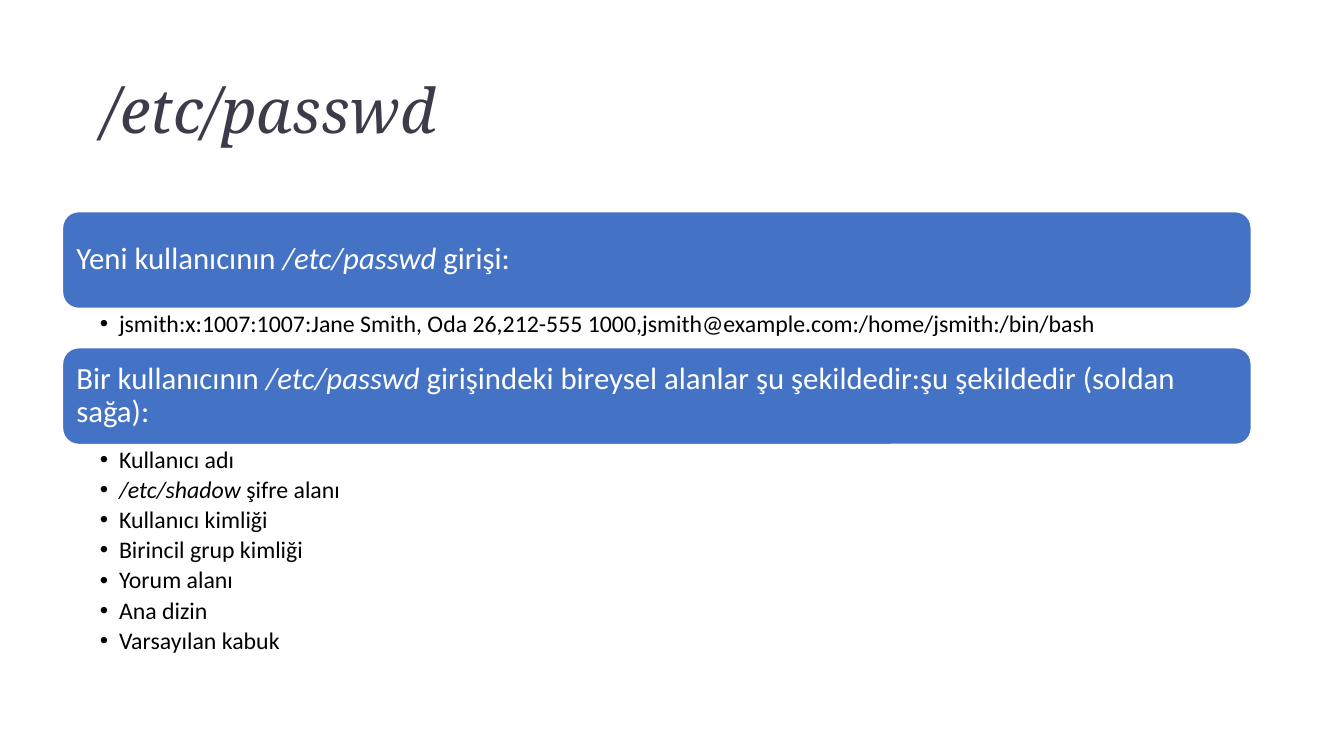
from pptx import Presentation
from pptx.dml.color import RGBColor
from pptx.enum.shapes import MSO_SHAPE
from pptx.enum.text import MSO_ANCHOR, MSO_AUTO_SIZE, PP_ALIGN
from pptx.oxml.ns import qn
from pptx.util import Inches, Pt
from lxml.etree import SubElement

# Content: a paragraph is a list of (text, italic) spans
TITLE = [("/etc/passwd", True)]
SECTIONS = [
    {
        "heading": [("Yeni kullanıcının ", False), ("/etc/passwd", True), (" girişi:", False)],
        "items": [
            [("jsmith:x:1007:1007:Jane Smith, Oda 26,212-555 1000,"
              "jsmith@example.com:/home/jsmith:/bin/bash", False)],
        ],
        "list_height": 0.39,
    },
    {
        "heading": [
            ("Bir kullanıcının ", False),
            ("/etc/passwd", True),
            (" girişindeki bireysel alanlar şu şekildedir:şu şekildedir (soldan sağa):", False),
        ],
        "items": [
            [("Kullanıcı adı", False)],
            [("/etc/shadow", True), (" şifre alanı", False)],
            [("Kullanıcı kimliği", False)],
            [("Birincil grup kimliği", False)],
            [("Yorum alanı", False)],
            [("Ana dizin", False)],
            [("Varsayılan kabuk", False)],
        ],
        "list_height": 2.24,
    },
]

# Formats
TITLE_STYLE = {"name": "Noto Serif", "size": Pt(44), "color": "3D3B49"}
HEADING_STYLE = {"name": "Calibri", "size": Pt(22), "color": "FFFFFF"}
ITEM_STYLE = {"name": "Calibri", "size": Pt(17), "color": "000000"}
PARAGRAPH_FORMAT = {"alignment": PP_ALIGN.LEFT, "line_spacing": 0.9, "space_before": Pt(0)}

# Stack of sections, in inches
LEFT, TOP, WIDTH, BAR_HEIGHT = 0.62, 2.1, 11.79, 0.96
BULLET_INDENT = Inches(0.19)


def color(hex_string):
    return RGBColor.from_string(hex_string)


def set_all(target, values):
    for name, value in values.items():
        setattr(target, name, value)


def place(shape, left, top, width, height):
    set_all(shape, {"left": Inches(left), "top": Inches(top),
                    "width": Inches(width), "height": Inches(height)})


def format_frame(frame, anchor, insets):
    sides = ("margin_left", "margin_top", "margin_right", "margin_bottom")
    set_all(frame, {"word_wrap": True, "auto_size": MSO_AUTO_SIZE.NONE, "vertical_anchor": anchor})
    set_all(frame, {side: Inches(inset) for side, inset in zip(sides, insets)})


def add_bullet(para):
    properties = para._p.get_or_add_pPr()
    properties.set("marL", str(BULLET_INDENT))
    properties.set("indent", str(-BULLET_INDENT))
    SubElement(properties, qn("a:buFont")).set("typeface", "Arial")
    SubElement(properties, qn("a:buChar")).set("char", "•")


def write(frame, paragraphs, style, bulleted=False, space_after=0):
    for index, spans in enumerate(paragraphs):
        para = frame.paragraphs[0] if index == 0 else frame.add_paragraph()
        if bulleted:
            add_bullet(para)
        set_all(para, PARAGRAPH_FORMAT)
        para.space_after = Pt(space_after)
        for text, italic in spans:
            span = para.add_run()
            span.text = text
            set_all(span.font, {"name": style["name"], "size": style["size"], "italic": italic})
            span.font.color.rgb = color(style["color"])


def add_bar(page, top, heading):
    bar = page.shapes.add_shape(MSO_SHAPE.ROUNDED_RECTANGLE, 0, 0, 0, 0)
    place(bar, LEFT, top, WIDTH, BAR_HEIGHT)
    bar.shadow.inherit = False
    bar.fill.solid()
    bar.fill.fore_color.rgb = color("4472C4")
    bar.line.color.rgb = color("FFFFFF")
    bar.line.width = Pt(1)
    # The rounded corners add about 0.05 inch to the text inset
    format_frame(bar.text_frame, MSO_ANCHOR.MIDDLE, (0.09, 0.09, 0.09, 0.09))
    write(bar.text_frame, [heading], HEADING_STYLE)


def main():
    deck = Presentation()
    deck.slide_width, deck.slide_height = Inches(13.33), Inches(7.5)
    page = deck.slides.add_slide(deck.slide_layouts.get_by_name("Two Content"))

    # Title
    title = page.shapes.title
    place(title, 0.92, 0.4, 11.5, 1.45)
    format_frame(title.text_frame, MSO_ANCHOR.MIDDLE, (0.1, 0.05, 0.1, 0.05))
    write(title.text_frame, [TITLE], TITLE_STYLE)

    # Heading bars, each with its list below
    top = TOP
    for number, section in enumerate(SECTIONS, start=1):
        add_bar(page, top, section["heading"])
        top += BAR_HEIGHT
        body = page.placeholders[number]
        place(body, LEFT, top, WIDTH, section["list_height"])
        format_frame(body.text_frame, MSO_ANCHOR.TOP, (0.37, 0.03, 0.17, 0.03))
        write(body.text_frame, section["items"], ITEM_STYLE, bulleted=True, space_after=3.2)
        top += section["list_height"]

    deck.save("out.pptx")


if __name__ == "__main__":
    main()
